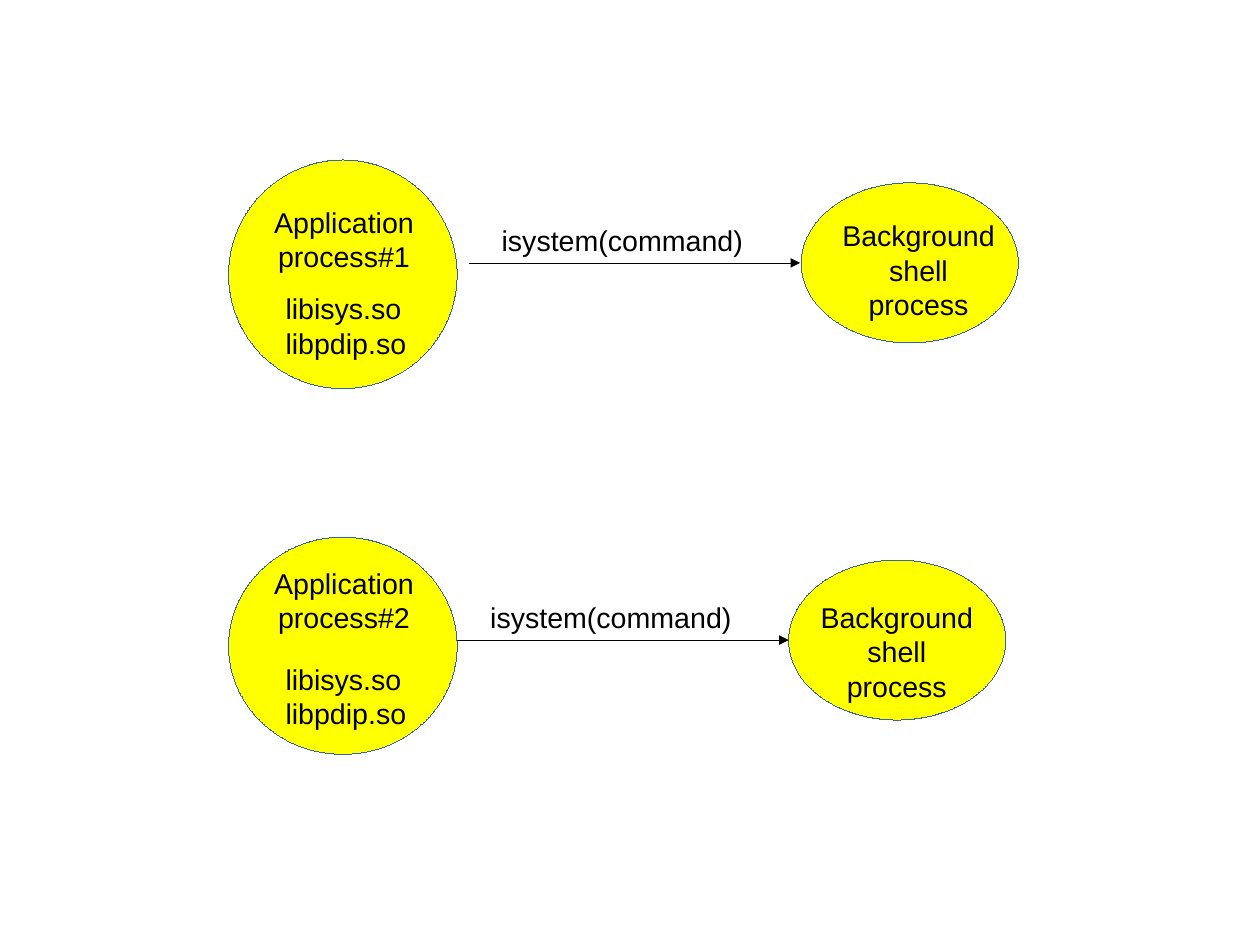
from lxml.etree import SubElement
from pptx import Presentation
from pptx.dml.color import RGBColor
from pptx.enum.shapes import MSO_CONNECTOR as Link, MSO_SHAPE as Form
from pptx.enum.text import MSO_AUTO_SIZE as Fit, PP_ALIGN as Align
from pptx.oxml.ns import qn
from pptx.util import Pt

YELLOW, BLUE, BLACK = "FFFF00", "3465A4", "000000"


def color(target, code):
    """Give a fill or font colour its hex value."""
    target.rgb = RGBColor.from_string(code)


def edge(shape, code):
    """Give a shape or connector a hairline and return its element."""
    color(shape.line.color, code)
    line = shape._element.spPr.find(qn("a:ln"))
    line.set("w", "0")
    return line


def oval(slide, box):
    """Draw a yellow ellipse with a hairline edge."""
    shape = slide.shapes.add_shape(Form.OVAL, *map(Pt, box))
    shape.fill.solid()
    color(shape.fill.fore_color, YELLOW)
    edge(shape, BLUE)
    shape.shadow.inherit = False


def label(slide, box, lines, align=Align.LEFT):
    """Write one paragraph per line in an unwrapped text box."""
    frame = slide.shapes.add_textbox(*map(Pt, box)).text_frame
    frame.word_wrap = False
    frame.auto_size = Fit.SHAPE_TO_FIT_TEXT
    for i, line in enumerate(lines):
        para = frame.add_paragraph() if i else frame.paragraphs[0]
        para.alignment = align
        run = para.add_run()
        run.text = line
        run.font.name = "Arial"
        run.font.size = Pt(18)
        color(run.font.color, BLACK)


def client(slide, box, number, title, libs):
    """Place an application process with its libraries."""
    x, y, _, _ = box
    oval(slide, box)
    label(slide, (x + 21.2, y + title, 103, 47.5),
          ["Application", f"process#{number}"], Align.CENTER)
    label(slide, (x + 28.8, y + libs, 91, 47.5), ["libisys.so", "libpdip.so"])


def shell(slide, box, dx, dy):
    """Place a background shell process."""
    x, y, _, _ = box
    oval(slide, box)
    label(slide, (x + dx, y + dy, 111, 67.7),
          ["Background", "shell", "process"], Align.CENTER)


def call(slide, x, y, width):
    """Draw the command arrow with its label above."""
    arrow = slide.shapes.add_connector(
        Link.STRAIGHT, Pt(x), Pt(y), Pt(x + width), Pt(y))
    SubElement(edge(arrow, BLACK), qn("a:tailEnd"), type="triangle")
    SubElement(arrow._element.spPr, qn("a:effectLst"))
    label(slide, (x + 13.7, y - 28.8, 167, 27.4), ["isystem(command)"])


def main():
    """Build the slide with its two process pairs."""
    deck = Presentation()
    deck.slide_width, deck.slide_height = Pt(793.7), Pt(595.28)
    slide = deck.slides.add_slide(deck.slide_layouts[6])

    client(slide, (144, 100.8, 144, 144), 1, 24.5, 79.2)
    shell(slide, (504.7, 115.2, 136.8, 100.8), 18.4, 18.7)
    call(slide, 295.2, 165.6, 208.8)

    client(slide, (144, 338.4, 144, 136.8), 2, 14.4, 74.9)
    shell(slide, (496.8, 352.8, 136.8, 100.8), 12.6, 21.6)
    call(slide, 288, 403.2, 208.8)

    deck.save("out.pptx")


if __name__ == "__main__":
    main()
